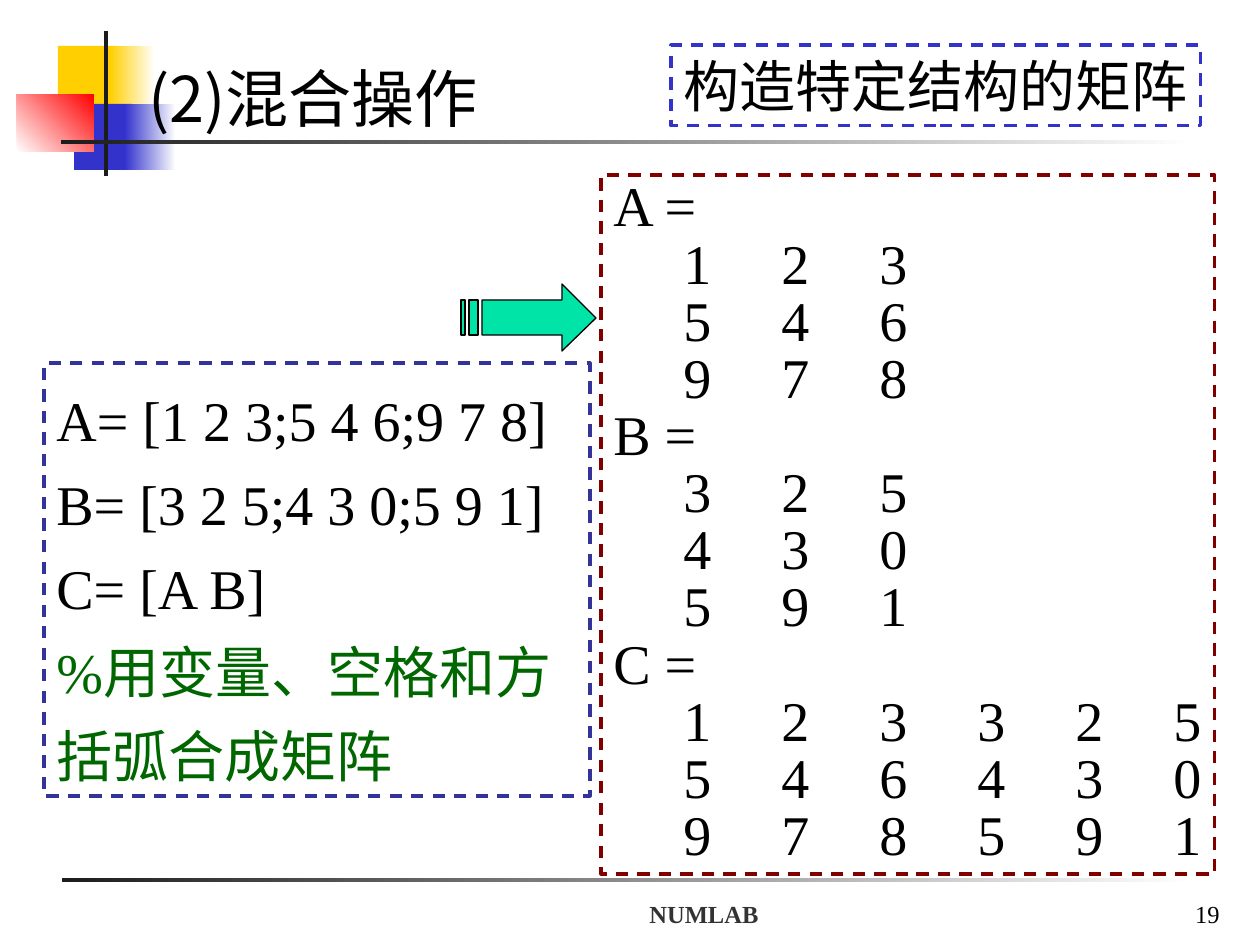
from dataclasses import dataclass

from pptx import Presentation
from pptx.dml.color import RGBColor
from pptx.enum.dml import MSO_LINE
from pptx.enum.shapes import MSO_SHAPE
from pptx.enum.text import MSO_ANCHOR, PP_ALIGN
from pptx.oxml.ns import qn
from pptx.util import Pt
from lxml.etree import SubElement

EMU_PER_PX = 914400 / 126


@dataclass(frozen=True)
class Theme:
    """Colours, fonts and type sizes of the slide."""
    white: str = "FFFFFF"
    black: str = "000000"
    yellow: str = "FFCF01"
    blue: str = "3333CC"
    red: str = "FF0000"
    rule: str = "1C1C1C"
    footer: str = "333333"
    code_border: str = "333399"
    output_border: str = "800000"
    comment: str = "006600"
    arrow: str = "00E4A8"
    serif: str = "Times New Roman"
    topic_font: str = "Karla"
    cjk: str = "Noto Sans CJK SC"
    title_size: int = 36
    body_size: int = 32
    footer_size: int = 14
    border: float = 1.75
    outline: float = 0.75


THEME = Theme()


def px(length):
    """Convert whole pixels to EMU."""
    return round(length * EMU_PER_PX)


def rgb(colour):
    """Read a hex colour."""
    return RGBColor.from_string(colour)


def add_block(slide, box, start, end=None, angle=0):
    """Place a borderless rectangle with a plain or gradient fill."""
    block = slide.shapes.add_shape(MSO_SHAPE.RECTANGLE, *map(px, box))
    block.shadow.inherit = False
    block.line.fill.background()
    if end is None:
        block.fill.solid()
        block.fill.fore_color.rgb = rgb(start)
        return
    block.fill.gradient()
    block.fill.gradient_angle = angle
    for stop, colour in zip(block.fill.gradient_stops, (start, end)):
        stop.color.rgb = rgb(colour)


def write(shape, lines, size, font=THEME.serif, colour=THEME.black, bold=None,
          align=PP_ALIGN.LEFT, anchor=MSO_ANCHOR.TOP, spacing=None, wrap=True):
    """Fill a shape with equally formatted paragraphs."""
    frame = shape.text_frame
    frame.word_wrap = wrap
    frame.vertical_anchor = anchor
    frame.text = "\n".join(lines)
    for paragraph in frame.paragraphs:
        paragraph.alignment = align
        paragraph.line_spacing = spacing
        for run in paragraph.runs:
            run.font.size = Pt(size)
            run.font.name = font
            run.font.bold = bold
            run.font.color.rgb = rgb(colour)
            SubElement(run.font._element, qn("a:ea")).set("typeface", THEME.cjk)


def add_dashed_panel(slide, box, border):
    """Place a white rectangle with a dashed border."""
    panel = slide.shapes.add_shape(MSO_SHAPE.RECTANGLE, *map(px, box))
    panel.shadow.inherit = False
    panel.fill.solid()
    panel.fill.fore_color.rgb = rgb(THEME.white)
    panel.line.color.rgb = rgb(border)
    panel.line.width = Pt(THEME.border)
    panel.line.dash_style = MSO_LINE.DASH
    return panel


def add_emblem(slide, box):
    """Draw the overlapping colour blocks and the upright bar."""
    left, top, _, height = box
    add_block(slide, (left + 41, top + 15, 60, 65), THEME.yellow)
    add_block(slide, (left + 93, top + 15, 45, 65), THEME.yellow, THEME.white)
    add_block(slide, (left + 57, top + 73, 58, 66), THEME.blue)
    add_block(slide, (left + 108, top + 73, 51, 66), THEME.blue, THEME.white)
    add_block(slide, (left, top + 63, 77, 58), THEME.white, THEME.red, 45)
    add_block(slide, (left + 87, top, 4, height), THEME.rule)


def add_footer(slide, box):
    """Draw the lower rule, the course name and the page number."""
    left, top, width, _ = box
    add_block(slide, (left, top, width, 4), THEME.rule, THEME.white)
    entries = (
        ("NUMLAB", 442, 400, PP_ALIGN.CENTER, THEME.footer, True),
        ("19", 908, 262, PP_ALIGN.RIGHT, THEME.black, None),
    )
    for words, offset, span, align, colour, bold in entries:
        entry = slide.shapes.add_textbox(
            *map(px, (left + offset, top - 6, span, 63)))
        write(entry, [words], THEME.footer_size, colour=colour, bold=bold,
              align=align, anchor=MSO_ANCHOR.BOTTOM)


def add_header(slide, box):
    """Place the rule, the title and the topic label."""
    left, top, width, _ = box
    add_block(slide, (left, top + 95, width, 4), THEME.rule, THEME.white)
    title = slide.shapes.add_textbox(*map(px, (left + 75, top + 8, 1092, 88)))
    write(title, ["(2)混合操作"], THEME.title_size, THEME.cjk)
    topic = add_dashed_panel(slide, (left + 610, top, 530, 81), THEME.blue)
    write(topic, ["构造特定结构的矩阵"], THEME.body_size, THEME.topic_font,
          wrap=False)


def add_code(slide, box):
    """Place the commands and their comment."""
    code = add_dashed_panel(slide, box, THEME.code_border)
    commands = ["A= [1 2 3;5 4 6;9 7 8]", "B= [3 2 5;4 3 0;5 9 1]",
                "C= [A B]", "%用变量、空格和方括弧合成矩阵"]
    write(code, commands, THEME.body_size, spacing=1.25)
    comment = code.text_frame.paragraphs[-1].runs[0]
    comment.font.color.rgb = rgb(THEME.comment)


def add_output(slide, box):
    """Place the printed matrices, the last joining the first two."""
    first = ["123", "546", "978"]
    second = ["325", "430", "591"]
    joined = [a + b for a, b in zip(first, second)]
    gap = " " * 5
    lines = []
    for name, matrix in zip("ABC", (first, second, joined)):
        lines.append(f"{name} =")
        lines += [gap + gap.join(row) for row in matrix]
    output = add_dashed_panel(slide, box, THEME.output_border)
    write(output, lines, THEME.body_size, spacing=0.85, wrap=False)


def add_striped_arrow(slide, box):
    """Draw a right arrow with two stripes behind its shaft."""
    left, top, width, height = box
    upper, lower = height // 4, height - height // 4
    neck = width * 3 // 4
    head = [(neck, 0), (neck, upper), (21, upper), (21, lower),
            (neck, lower), (neck, height), (width, height / 2)]
    stripes = [[(a, upper), (a, lower), (b, lower), (b, upper)]
               for a, b in ((8, 17), (0, 4))]
    builder = slide.shapes.build_freeform(*head[0], scale=EMU_PER_PX)
    builder.add_line_segments(head[1:], close=True)
    for stripe in stripes:
        builder.move_to(*stripe[0])
        builder.add_line_segments(stripe[1:], close=True)
    arrow = builder.convert_to_shape(px(left), px(top))
    arrow.shadow.inherit = False
    arrow.fill.solid()
    arrow.fill.fore_color.rgb = rgb(THEME.arrow)
    arrow.line.color.rgb = rgb(THEME.black)
    arrow.line.width = Pt(THEME.outline)


def main():
    """Build and save the slide."""
    deck = Presentation()
    deck.slide_width, deck.slide_height = px(1260), px(945)
    slide = deck.slides.add_slide(deck.slide_layouts[6])
    add_emblem(slide, (17, 31, 159, 145))
    add_footer(slide, (62, 878, 1134, 67))
    add_code(slide, (44, 363, 546, 433))
    add_header(slide, (61, 45, 1134, 99))
    add_output(slide, (601, 175, 614, 699))
    add_striped_arrow(slide, (461, 284, 135, 67))
    deck.save("out.pptx")


if __name__ == "__main__":
    main()
